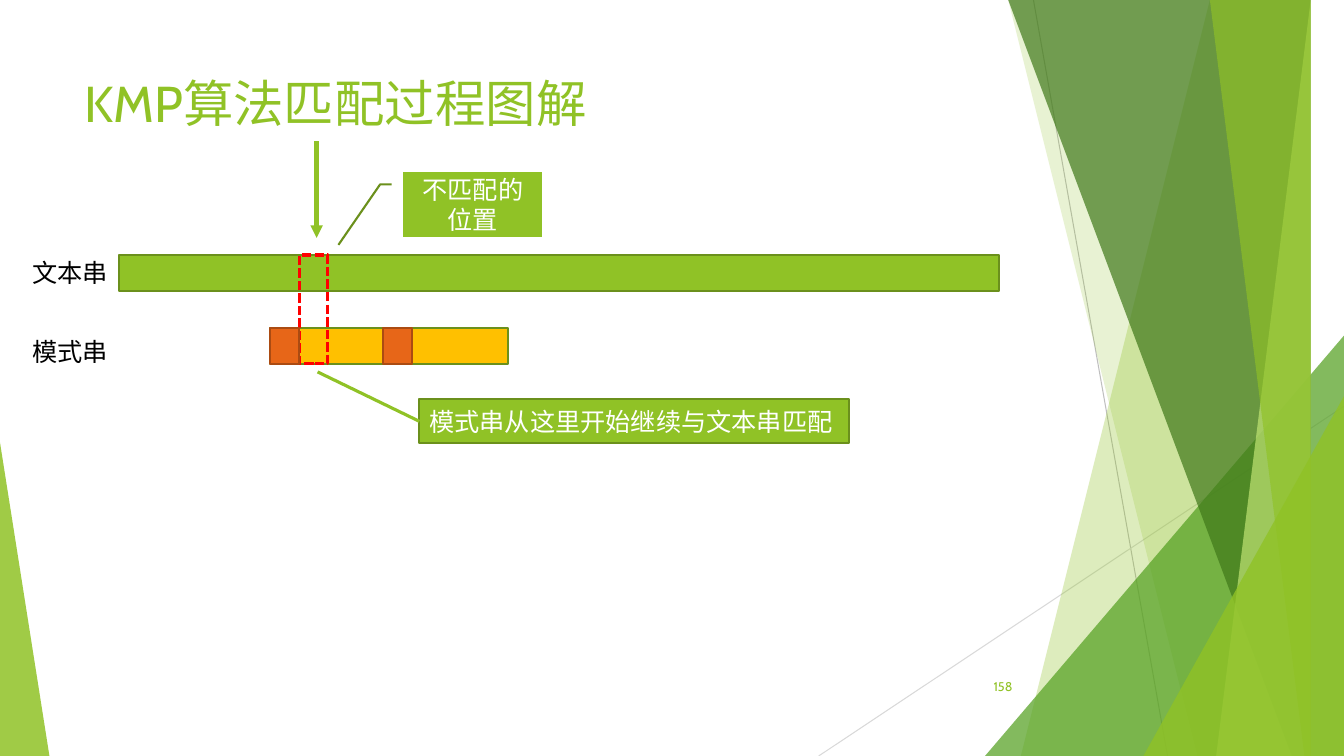
from dataclasses import dataclass
from typing import Optional

from lxml import etree
from pptx import Presentation
from pptx.dml.color import RGBColor
from pptx.enum import dml, shapes, text
from pptx.oxml.ns import qn
from pptx.util import Inches, Pt

WHITE = RGBColor(0xFF, 0xFF, 0xFF)
BLACK = RGBColor(0x00, 0x00, 0x00)
RED = RGBColor(0xFF, 0x00, 0x00)
LIME = RGBColor(0x90, 0xC2, 0x26)
LIME_EDGE = RGBColor(0x6B, 0x90, 0x1C)
GREEN = RGBColor(0x54, 0xA0, 0x21)
FOREST = RGBColor(0x3F, 0x78, 0x19)
PALE_LIME = RGBColor(0xC0, 0xE4, 0x74)
GOLD = RGBColor(0xFF, 0xC0, 0x00)
ORANGE = RGBColor(0xE7, 0x66, 0x18)
ORANGE_EDGE = RGBColor(0xAB, 0x4B, 0x12)
GRAY = RGBColor(0xBF, 0xBF, 0xBF)
LIGHT_GRAY = RGBColor(0xD9, 0xD9, 0xD9)

FONT = "Cabin"
WIDTH, HEIGHT = 13.33, 7.5
BAND_TOP = -0.01
BAR_HEIGHT = 0.36
TEXT_BAR_TOP, PATTERN_TOP = 2.53, 3.25
PATTERN_LEFT, CELL_WIDTH = 2.68, 0.29


@dataclass
class Band:
    """Slanted area that reaches from its left edge to the right slide edge."""
    top_x: float
    bottom_x: float
    color: RGBColor
    opacity: int


@dataclass
class Triangle:
    left: float
    top: float
    width: float
    apex: float
    color: RGBColor
    opacity: int


@dataclass
class Box:
    left: float
    top: float
    width: float
    height: float
    fill: Optional[RGBColor]
    edge: Optional[RGBColor]
    edge_width: float = 1.5
    preset: shapes.MSO_SHAPE = shapes.MSO_SHAPE.RECTANGLE


@dataclass
class Line:
    start: tuple[float, float]
    end: tuple[float, float]
    color: RGBColor
    width: float
    arrow: bool = False


DECORATION = [
    Line((10.25, 0), (11.58, HEIGHT), GRAY, 0.75),
    Line((WIDTH, 4.03), (8.12, HEIGHT), LIGHT_GRAY, 0.75),
    Band(12.28, 10.04, LIME, 30),
    Band(10.5, 11.83, LIME, 20),
    Triangle(9.77, 3.33, 3.56, 1, GREEN, 72),
    Band(10.21, 12.91, FOREST, 70),
    Band(13.03, 11.92, PALE_LIME, 70),
    Band(11.96, 13.18, LIME, 65),
    Triangle(11.34, 3.93, 1.99, 1, LIME, 80),
    Triangle(0, 4.39, 0.49, 0, LIME, 85),
]
TEXT_BAR = Box(1.18, TEXT_BAR_TOP, 8.73, BAR_HEIGHT, LIME, LIME_EDGE)
PATTERN_BAR = Box(PATTERN_LEFT, PATTERN_TOP, 2.36, BAR_HEIGHT, GOLD, LIME_EDGE)
COMPARED_CELLS = Box(PATTERN_LEFT + CELL_WIDTH, TEXT_BAR_TOP, 0.28,
                     PATTERN_TOP + BAR_HEIGHT - TEXT_BAR_TOP, None, RED, 2.25)
MISMATCH_CALLOUT = Box(4, 1.71, 1.38, 0.64, LIME, LIME_EDGE,
                       preset=shapes.MSO_SHAPE.LINE_CALLOUT_2_NO_BORDER)
RESUME_NOTE = Box(4.16, 3.96, 4.26, 0.44, LIME, LIME_EDGE)
MISMATCH_ARROW = Line((3.14, 1.4), (3.14, 2.36), LIME, 3, arrow=True)
RESUME_LEADER = Line((3.15, 3.69), (4.16, 4.18), LIME, 2.25)


def paint(shape, color: RGBColor, opacity: int) -> None:
    shape.shadow.inherit = False
    shape.fill.solid()
    shape.fill.fore_color.rgb = color
    shape.line.fill.background()
    color_element = shape.fill._xPr.find(f"{qn('a:solidFill')}/{qn('a:srgbClr')}")
    etree.SubElement(color_element, qn("a:alpha"), val=str(opacity * 1000))


def draw_band(slide, band: Band) -> None:
    builder = slide.shapes.build_freeform(band.top_x, BAND_TOP, scale=Inches(1))
    builder.add_line_segments(
        [(WIDTH, BAND_TOP), (WIDTH, HEIGHT), (band.bottom_x, HEIGHT)], close=True)
    paint(builder.convert_to_shape(), band.color, band.opacity)


def draw_triangle(slide, triangle: Triangle) -> None:
    shape = slide.shapes.add_shape(
        shapes.MSO_SHAPE.ISOSCELES_TRIANGLE, Inches(triangle.left), Inches(triangle.top),
        Inches(triangle.width), Inches(HEIGHT - triangle.top))
    shape.adjustments[0] = triangle.apex
    paint(shape, triangle.color, triangle.opacity)


def draw_line(slide, line: Line) -> None:
    connector = slide.shapes.add_connector(
        shapes.MSO_CONNECTOR.STRAIGHT, *map(Inches, line.start + line.end))
    connector.line.color.rgb = line.color
    connector.line.width = Pt(line.width)
    if line.arrow:
        etree.SubElement(connector.line._get_or_add_ln(), qn("a:tailEnd"), type="triangle")
    etree.SubElement(connector._element.spPr, qn("a:effectLst"))


def draw_box(slide, box: Box):
    shape = slide.shapes.add_shape(
        box.preset, *map(Inches, (box.left, box.top, box.width, box.height)))
    shape.shadow.inherit = False
    if box.fill is None:
        shape.fill.background()
    else:
        shape.fill.solid()
        shape.fill.fore_color.rgb = box.fill
    shape.line.color.rgb = box.edge
    shape.line.width = Pt(box.edge_width)
    return shape


def write(shape, words: str, *, size: float = 18, color: RGBColor = WHITE,
          align=text.PP_ALIGN.LEFT, anchor=text.MSO_ANCHOR.MIDDLE, wrap: bool = True) -> None:
    frame = shape.text_frame
    frame.word_wrap = wrap
    frame.vertical_anchor = anchor
    paragraph = frame.paragraphs[0]
    paragraph.alignment = align
    run = paragraph.add_run()
    run.text = words
    run.font.name = FONT
    run.font.size = Pt(size)
    run.font.color.rgb = color


def add_text(slide, words: str, left: float, top: float, width: float, height: float,
             **text_format) -> None:
    write(slide.shapes.add_textbox(*map(Inches, (left, top, width, height))),
          words, **text_format)


def main() -> None:
    presentation = Presentation()
    presentation.slide_width, presentation.slide_height = Inches(WIDTH), Inches(HEIGHT)
    slide = presentation.slides.add_slide(presentation.slide_layouts[6])

    painters = {Line: draw_line, Band: draw_band, Triangle: draw_triangle}
    for item in DECORATION:
        painters[type(item)](slide, item)

    add_text(slide, "KMP算法匹配过程图解", 0.74, 0.67, 9.4, 1.44,
             size=36, color=LIME, anchor=text.MSO_ANCHOR.TOP)
    add_text(slide, "158", 9.39, 6.61, 0.75, 0.4,
             size=9, color=LIME, align=text.PP_ALIGN.RIGHT)

    draw_box(slide, TEXT_BAR)
    draw_box(slide, PATTERN_BAR)
    for label, top in (("文本串", 2.5), ("模式串", 3.29)):
        add_text(slide, label, 0.22, top, 0.96, 0.4, color=BLACK,
                 anchor=text.MSO_ANCHOR.TOP, wrap=False)

    compared = draw_box(slide, COMPARED_CELLS)
    compared.line.dash_style = dml.MSO_LINE.SQUARE_DOT
    write(draw_box(slide, MISMATCH_CALLOUT), "不匹配的位置", align=text.PP_ALIGN.CENTER)
    draw_line(slide, MISMATCH_ARROW)
    for left in (PATTERN_LEFT, 3.8):
        draw_box(slide, Box(left, PATTERN_TOP, CELL_WIDTH, BAR_HEIGHT, ORANGE, ORANGE_EDGE))
    write(draw_box(slide, RESUME_NOTE), "模式串从这里开始继续与文本串匹配")
    draw_line(slide, RESUME_LEADER)

    presentation.save("out.pptx")


if __name__ == "__main__":
    main()
